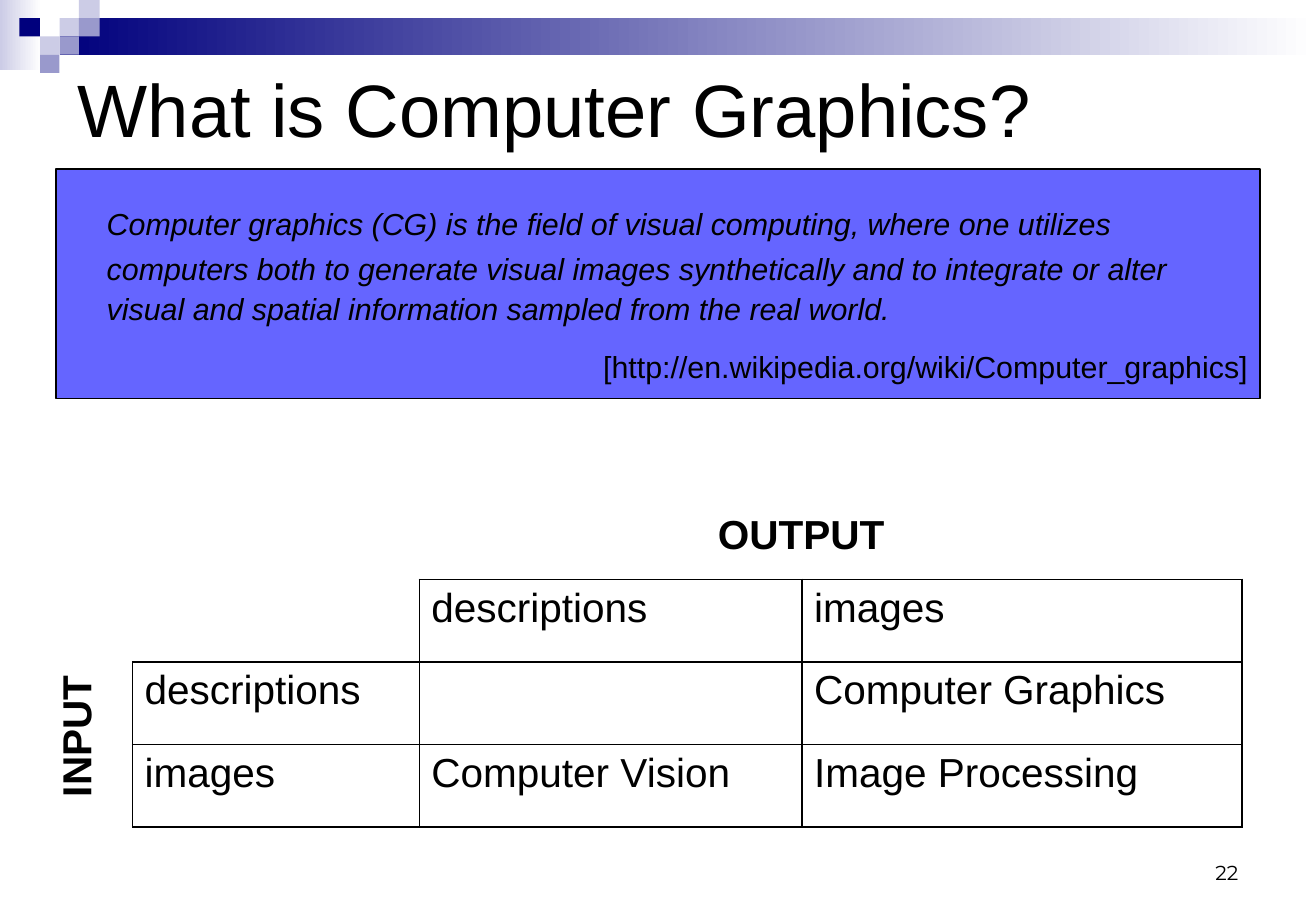
from lxml.etree import SubElement
from pptx import Presentation
from pptx.dml.color import RGBColor
from pptx.enum.shapes import MSO_SHAPE as Kind
from pptx.enum.text import MSO_ANCHOR as Anchor, MSO_AUTO_SIZE as Fit, PP_ALIGN as Align
from pptx.oxml.ns import qn
from pptx.util import Pt

PX = 9144  # 100 px to the inch
BLACK, WHITE = "000000", "FFFFFF"
NAVY, MID, PALE = "00007D", "9999CC", "CCCCE6"
QUOTE = (
    "Computer graphics (CG) is the field of visual computing, where one utilizes "
    "computers both to generate visual images synthetically and to integrate or alter "
    "visual and spatial information sampled from the real world."
)
SOURCE = "[http://en.wikipedia.org/wiki/Computer_graphics]"
GRID = [
    ["", "descriptions", "images"],
    ["descriptions", "", "Computer Graphics"],
    ["images", "Computer Vision", "Image Processing"],
]


def emu(*nums):
    return [n * PX for n in nums]


def rgb(code):
    return RGBColor.from_string(code)


def write(para, text, size=24, font="Arial", bold=False, italic=False, align=Align.LEFT):
    """Add one formatted run to a paragraph."""
    para.alignment = align
    run = para.add_run()
    run.text = text
    face = run.font
    face.size, face.name, face.bold, face.italic = Pt(size), font, bold, italic
    face.color.rgb = rgb(BLACK)


def block(slide, box, *fill, line=None):
    """Add a rectangle; two fill colours make a left-to-right gradient."""
    shape = slide.shapes.add_shape(Kind.RECTANGLE, *emu(*box))
    shape.shadow.inherit = False
    if len(fill) == 2:
        shape.fill.gradient()
        shape.fill.gradient_angle = 0
        for stop, code in zip(shape.fill.gradient_stops, fill):
            stop.color.rgb = rgb(code)
    else:
        shape.fill.solid()
        shape.fill.fore_color.rgb = rgb(fill[0])
    if line:
        shape.line.color.rgb = rgb(line)
        shape.line.width = Pt(1)
    else:
        shape.line.fill.background()
    return shape


def label(slide, box, text, anchor=Anchor.TOP, turn=0, **form):
    shape = slide.shapes.add_textbox(*emu(*box))
    shape.rotation = turn
    frame = shape.text_frame
    frame.word_wrap = True
    frame.vertical_anchor = anchor
    write(frame.paragraphs[0], text, **form)


def banner(slide, box):
    """Draw the fading bar and the checker squares at its left end."""
    left, top, width, step = box
    edges = [left + x for x in (0, 16, 33, 49, 65, 82)]
    block(slide, (left, top, 34, 58), PALE, WHITE)
    block(slide, (edges[3], top + step, width - 49, 2 * step), NAVY, WHITE)
    squares = [(3, 1, PALE), (4, 0, PALE), (4, 1, MID), (2, 2, PALE),
               (1, 1, NAVY), (3, 2, MID), (2, 3, MID)]
    for col, row, code in squares:
        x = edges[col]
        block(slide, (x, top + row * step, edges[col + 1] - x, step), code)


def head(slide, box, text):
    title = slide.shapes.title
    title.left, title.top, title.width, title.height = emu(*box)
    frame = title.text_frame
    frame.auto_size = Fit.NONE
    frame.vertical_anchor = Anchor.MIDDLE
    write(frame.paragraphs[0], text, size=44)


def quote(slide, box):
    frame = block(slide, box, "6565FF", line=BLACK).text_frame
    frame.word_wrap = True
    frame.vertical_anchor = Anchor.TOP
    body, source = frame.paragraphs[0], frame.add_paragraph()
    props = body._p.get_or_add_pPr()
    props.set("marL", str(32 * PX))
    props.set("indent", str(-32 * PX))
    write(body, "\t", size=32, italic=True)
    write(body, QUOTE, size=18, italic=True)
    write(source, SOURCE, size=18, align=Align.RIGHT)
    source.space_before = Pt(11)
    body.line_spacing = source.line_spacing = 1.1


def edge(cell, hidden=""):
    """Rule the four sides of a cell, save the hidden ones."""
    props = cell._tc.get_or_add_tcPr()
    for side in "LRTB":
        line = SubElement(props, qn("a:ln" + side), w=str(Pt(1)))
        if side in hidden:
            SubElement(line, qn("a:noFill"))
        else:
            fill = SubElement(line, qn("a:solidFill"))
            SubElement(fill, qn("a:srgbClr"), val=BLACK)


def matrix(slide, box, widths):
    """Place the table with its two axis labels."""
    left, top, width, height = box
    table = slide.shapes.add_table(len(GRID), len(widths), *emu(*box)).table
    table.first_row = table.horz_banding = False
    for col, size in zip(table.columns, widths):
        col.width = size * PX
    for r, row in enumerate(GRID):
        for c, text in enumerate(row):
            cell = table.cell(r, c)
            edge(cell, hidden="LT" if r == c == 0 else "")
            cell.fill.background()
            if text:
                write(cell.text_frame.paragraphs[0], text)
    label(slide, (left + 472, top - 63, 220, 50), "OUTPUT", bold=True)
    label(slide, (left - 157, top + 54, 220, 50), "INPUT", turn=270, bold=True)


def main():
    deck = Presentation()
    deck.slide_width, deck.slide_height = emu(1083, 750)
    slide = deck.slides.add_slide(deck.slide_layouts[5])
    banner(slide, (0, 0, 1083, 15))
    head(slide, (54, 50, 975, 78), "What is Computer Graphics?")
    label(slide, (776, 683, 253, 50), "22", anchor=Anchor.BOTTOM,
          size=12, font="Montserrat", align=Align.RIGHT)
    quote(slide, (46, 139, 991, 189))
    matrix(slide, (109, 477, 913, 204), (236, 315, 362))
    deck.save("out.pptx")


if __name__ == "__main__":
    main()
